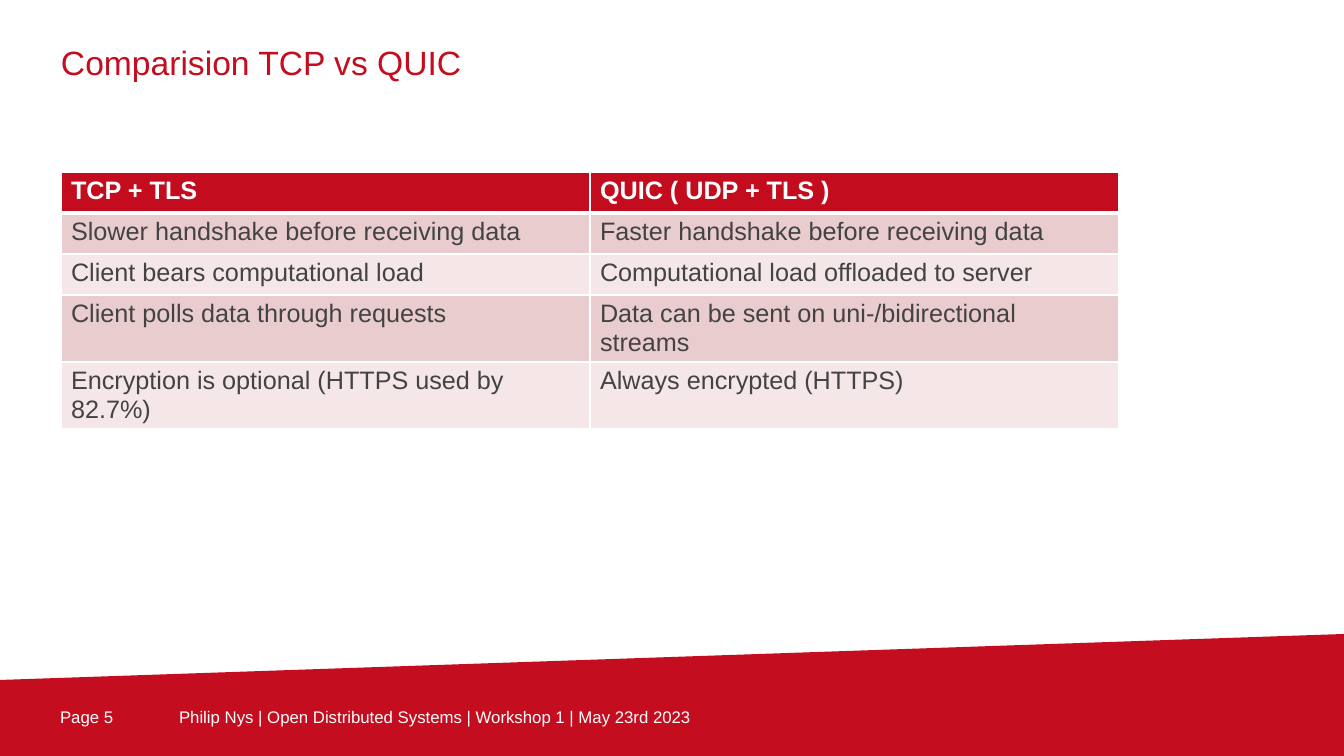
import pptx
import pptx.util
import pptx.dml.color
import pptx.enum.text
import pptx.oxml
import pptx.oxml.ns

SCALE = 914400 / 100.8  # EMU per pixel
FONT = "Arial"
COLORS = {
    "red": "C40D1E",
    "header": "C30D1E",
    "band_dark": "E9CCCD",
    "band_light": "F5E7E8",
    "body": "434343",
    "white": "FFFFFF",
}
ROWS = [
    ("TCP + TLS", "QUIC ( UDP + TLS )"),
    ("Slower handshake before receiving data", "Faster handshake before receiving data"),
    ("Client bears computational load", "Computational load offloaded to server"),
    ("Client polls data through requests", "Data can be sent on uni-/bidirectional streams"),
    ("Encryption is optional (HTTPS used by 82.7%)", "Always encrypted (HTTPS)"),
]
ROW_HEIGHTS = [41, 41, 41, 67, 67]


def px(length):
    return pptx.util.Emu(round(length * SCALE))


def rgb(name):
    return pptx.dml.color.RGBColor.from_string(COLORS[name])


def style(paragraph, size, color, bold=False):
    paragraph.font.name = FONT
    paragraph.font.size = pptx.util.Pt(size)
    paragraph.font.bold = bold
    paragraph.font.color.rgb = rgb(color)


def fill_frame(frame, text, size, color, anchor):
    frame.margin_left = frame.margin_right = frame.margin_top = frame.margin_bottom = 0
    frame.word_wrap = True
    frame.auto_size = pptx.enum.text.MSO_AUTO_SIZE.NONE
    frame.vertical_anchor = anchor
    frame.text = text
    heading = frame.paragraphs[0]
    heading.alignment = pptx.enum.text.PP_ALIGN.LEFT
    style(heading, size, color)
    return heading


def add_footer(slide, left, top, width, height):
    # Slanted band
    slant = 46
    outline = slide.shapes.build_freeform(px(left), px(top + slant), scale=1.0)
    corners = [(left + width, top), (left + width, top + height), (left, top + height)]
    outline.add_line_segments([(px(x), px(y)) for x, y in corners], close=True)
    band = outline.convert_to_shape()
    band.shadow.inherit = False
    band.fill.solid()
    band.fill.fore_color.rgb = rgb("red")
    band.line.fill.background()

    # Page number and talk details
    details = "Philip Nys |\u00a0Open Distributed Systems | Workshop 1 | May 23rd 2023"
    for text, offset, label_width in [("Page 5", 60, 119), (details, 179, 840)]:
        label = slide.shapes.add_textbox(
            px(left + offset), px(top + 72), px(label_width), px(21))
        fill_frame(label.text_frame, text, 12, "white", pptx.enum.text.MSO_ANCHOR.MIDDLE)


def add_title(slide, left, top, width, height):
    title = slide.shapes.title
    title.left, title.top, title.width, title.height = map(px, (left, top, width, height))
    heading = fill_frame(title.text_frame, "Comparision TCP vs QUIC", 24, "red",
                         pptx.enum.text.MSO_ANCHOR.TOP)
    heading.line_spacing = pptx.util.Pt(28)


def set_borders(cell, bottom_width):
    properties = cell._tc.get_or_add_tcPr()
    widths = {"lnL": 1, "lnR": 1, "lnT": 1, "lnB": bottom_width}
    for position, (side, points) in enumerate(widths.items()):
        border = pptx.oxml.parse_xml(
            f'<a:{side} {pptx.oxml.ns.nsdecls("a")} w="{pptx.util.Pt(points)}">'
            f'<a:solidFill><a:srgbClr val="{COLORS["white"]}"/></a:solidFill></a:{side}>')
        properties.insert(position, border)


def add_comparison(slide, left, top, width):
    columns = len(ROWS[0])
    comparison = slide.shapes.add_table(
        len(ROWS), columns, px(left), px(top), px(width), px(sum(ROW_HEIGHTS))).table
    for column in comparison.columns:
        column.width = px(width // columns)
    for r, texts in enumerate(ROWS):
        comparison.rows[r].height = px(ROW_HEIGHTS[r])
        is_header = r == 0
        background = "header" if is_header else "band_dark" if r % 2 else "band_light"
        for c, text in enumerate(texts):
            cell = comparison.cell(r, c)
            cell.text = text
            cell.fill.solid()
            cell.fill.fore_color.rgb = rgb(background)
            style(cell.text_frame.paragraphs[0], 18,
                  "white" if is_header else "body", is_header)
            # A thick rule separates the header from the first row
            set_borders(cell, 3 if is_header else 1)
            if r == 1:
                cell._tc.tcPr.find(pptx.oxml.ns.qn("a:lnT")).set("w", str(pptx.util.Pt(3)))


deck = pptx.Presentation()
deck.slide_width, deck.slide_height = px(1344), px(756)
slide = deck.slides.add_slide(deck.slide_layouts[5])
add_footer(slide, 0, 634, 1344, 122)
add_title(slide, 61, 43, 916, 79)
add_comparison(slide, 61, 172, 1058)
deck.save("out.pptx")
